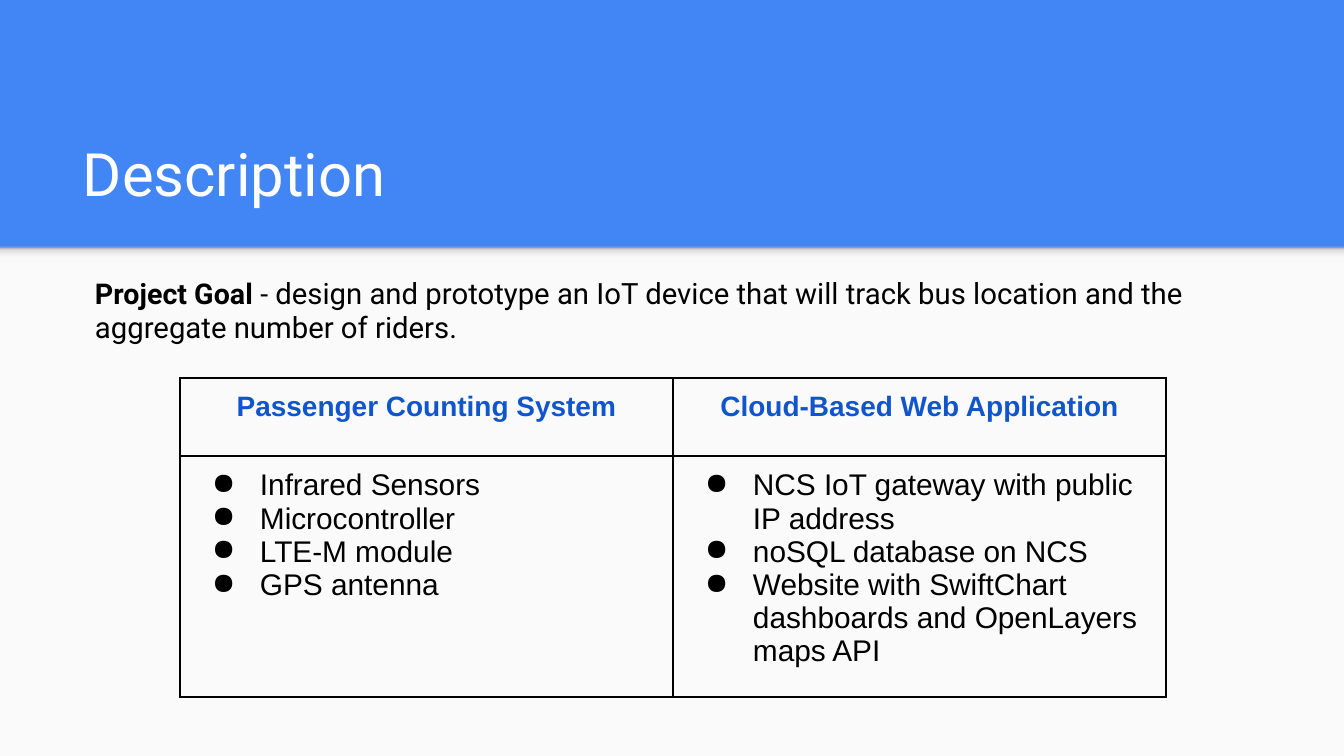
from lxml import etree
from pptx import Presentation
from pptx.dml.color import RGBColor
from pptx.enum.shapes import MSO_SHAPE
from pptx.enum.text import MSO_ANCHOR, PP_ALIGN
from pptx.oxml.ns import qn
from pptx.util import Pt

RECT = MSO_SHAPE.RECTANGLE
TOP, BOTTOM = MSO_ANCHOR.TOP, MSO_ANCHOR.BOTTOM
CENTER = PP_ALIGN.CENTER

BLUE = RGBColor(0x42, 0x85, 0xF4)
PALE = RGBColor(0xFA, 0xFA, 0xFA)
WHITE = RGBColor(0xFF, 0xFF, 0xFF)
BLACK = RGBColor(0, 0, 0)
NAVY = RGBColor(0x11, 0x55, 0xCC)
LIGHT = RGBColor(0xF9, 0xF9, 0xF9)
SILVER = RGBColor(0xDE, 0xDE, 0xDE)
GRAY = RGBColor(0x99, 0x99, 0x99)
SHADE = [(0, LIGHT), (36, LIGHT), (80, SILVER), (100, GRAY)]

HEADS = ["Passenger Counting System", "Cloud-Based Web Application"]
ITEMS = [
    ["Infrared Sensors", "Microcontroller", "LTE-M module", "GPS antenna"],
    [
        "NCS IoT gateway with public IP address",
        "noSQL database on NCS",
        "Website with SwiftChart dashboards and OpenLayers maps API",
    ],
]
GOAL = [
    ("Project Goal ", 15.3, True),
    ("- ", 15.3, False),
    ("design and prototype an IoT device that will track bus location "
     "and the aggregate number of riders.", 15.7, False),
]
PAD = 13


def px(count):
    return round(count * 914400 / 134.4)


def add_node(parent, tag, **attrs):
    return etree.SubElement(parent, qn(tag), attrs)


def add_rect(slide, *box):
    rect = slide.shapes.add_shape(RECT, *map(px, box))
    rect.shadow.inherit = False
    rect.line.fill.background()
    return rect


def shade(rect):
    rect.fill.gradient()
    rect.fill.gradient_angle = 90
    stops = rect.fill._fill._gradFill.find(qn("a:gsLst"))
    for stop in list(stops):
        stops.remove(stop)
    for spot, color in SHADE:
        stop = add_node(stops, "a:gs", pos=str(spot * 1000))
        add_node(stop, "a:srgbClr", val=str(color))


def set_pads(area):
    area.margin_left = area.margin_right = px(PAD)
    area.margin_top = area.margin_bottom = px(PAD)


def style(run, face, size, color, bold=False):
    run.font.name = face
    run.font.size = Pt(size)
    run.font.color.rgb = color
    run.font.bold = bold


def add_text(slide, box, anchor, parts, color):
    frame = slide.shapes.add_textbox(*map(px, box)).text_frame
    frame.word_wrap = True
    frame.vertical_anchor = anchor
    set_pads(frame)
    para = frame.paragraphs[0]
    for text, size, bold in parts:
        run = para.add_run()
        run.text = text
        style(run, "Roboto", size, color, bold)
    return para


def add_bullet(para):
    props = para._p.get_or_add_pPr()
    props.set("marL", str(px(67)))
    props.set("indent", str(px(-48)))
    color = add_node(props, "a:buClr")
    add_node(color, "a:srgbClr", val=str(BLACK))
    add_node(props, "a:buChar", char="●")


def fill_cell(cell, lines, size, color, head):
    set_pads(cell)
    props = cell._tc.get_or_add_tcPr()
    for side in "LRTB":
        line = add_node(props, f"a:ln{side}", w=str(Pt(0.75)))
        fill = add_node(line, "a:solidFill")
        add_node(fill, "a:srgbClr", val=str(BLACK))
    cell.fill.background()
    cell.text_frame.text = "\n".join(lines)
    for para in cell.text_frame.paragraphs:
        if head:
            para.alignment = CENTER
        else:
            add_bullet(para)
        for run in para.runs:
            style(run, "Arial", size, color, head)


def add_grid(slide):
    wide, rows = 493, [78, 218]
    box = 180, 378, 2 * wide, sum(rows)
    table = slide.shapes.add_table(2, 2, *map(px, box)).table
    table.first_row = False
    table.horz_banding = False
    for row, high in zip(table.rows, rows):
        row.height = px(high)
    for col, (head, items) in enumerate(zip(HEADS, ITEMS)):
        table.columns[col].width = px(wide)
        fill_cell(table.cell(0, col), [head], 15, NAVY, True)
        fill_cell(table.cell(1, col), items, 16, BLACK, False)


def main():
    deck = Presentation()
    deck.slide_width, deck.slide_height = px(1344), px(756)
    slide = deck.slides.add_slide(deck.slide_layouts[6])
    back = slide.background.fill
    back.solid()
    back.fore_color.rgb = BLUE

    panel = add_rect(slide, 0, 247, 1344, 509)
    panel.fill.solid()
    panel.fill.fore_color.rgb = PALE
    shade(add_rect(slide, 0, 247, 1344, 16))

    title = [("Description", 32, False)]
    add_text(slide, (70, 109, 1208, 113), BOTTOM, title, WHITE)
    goal = add_text(slide, (82, 265, 1184, 95), TOP, GOAL, BLACK)
    goal.line_spacing = 0.95
    goal.space_after = Pt(12)
    add_grid(slide)
    deck.save("out.pptx")


if __name__ == "__main__":
    main()
